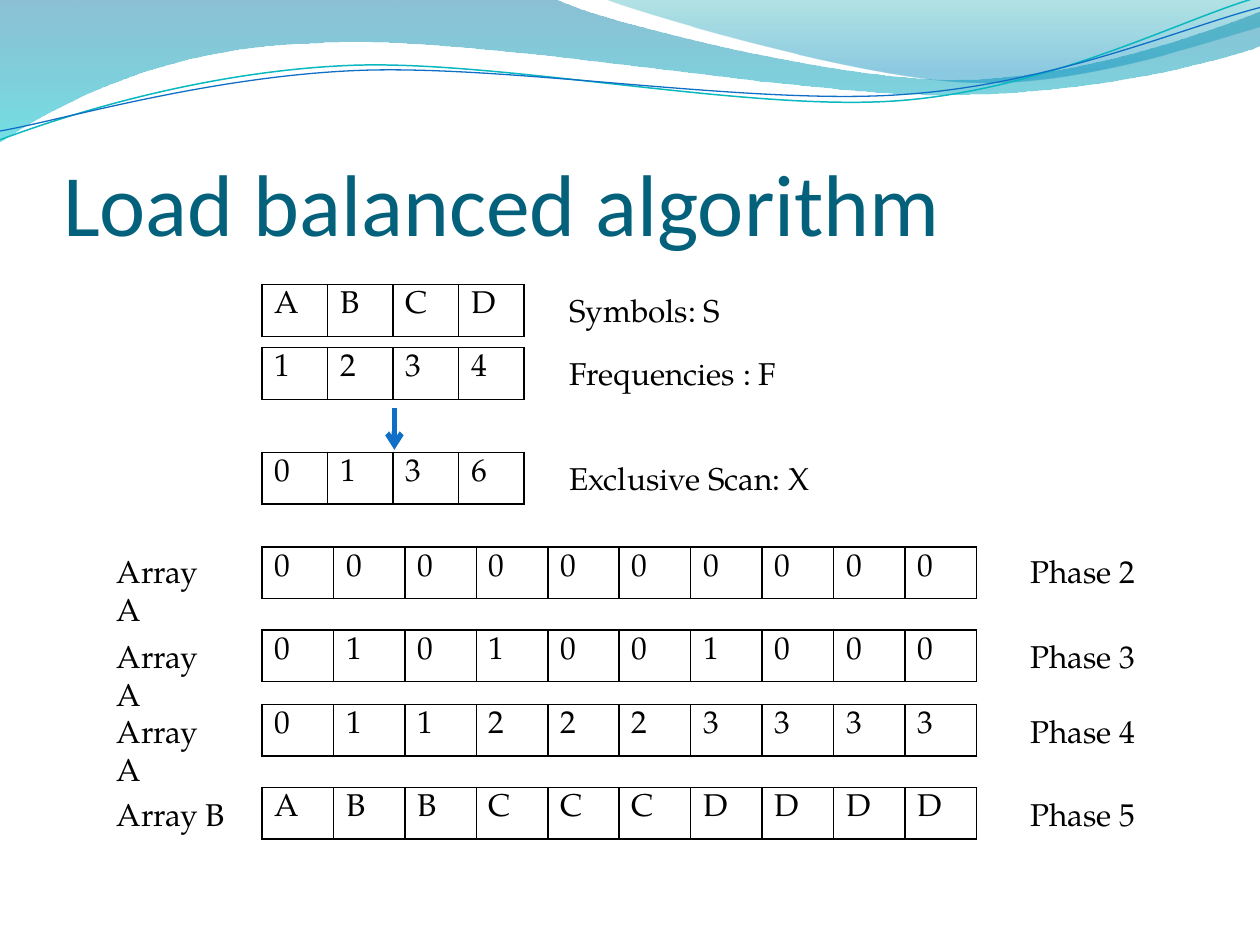
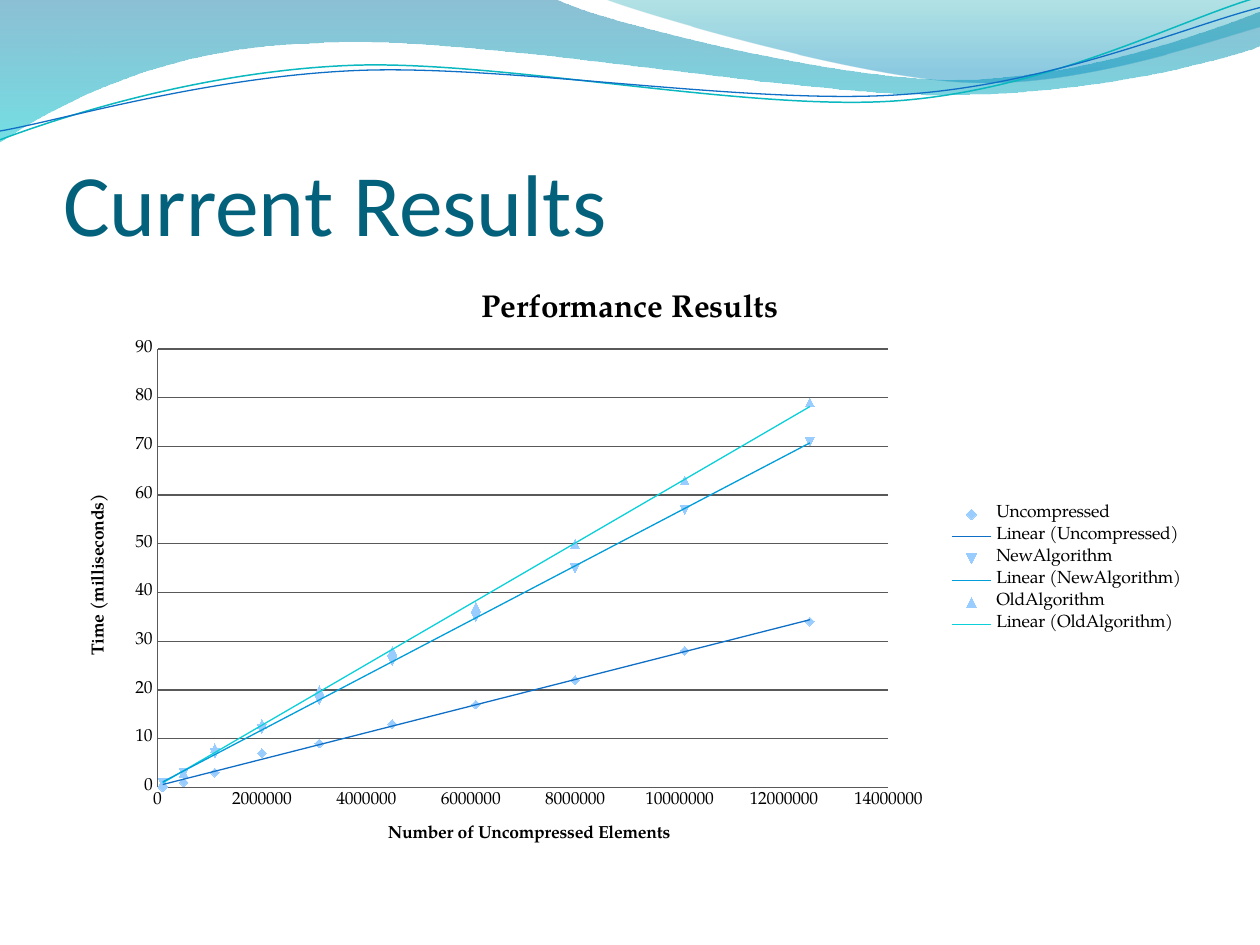
"""Build two slides on a load balanced algorithm and its performance results."""
from lxml import etree
from pptx import Presentation
from pptx.chart.data import XyChartData
from pptx.dml.color import RGBColor
from pptx.enum.chart import XL_CHART_TYPE, XL_LEGEND_POSITION, XL_TICK_MARK
from pptx.enum.shapes import MSO_CONNECTOR
from pptx.enum.text import MSO_ANCHOR, MSO_AUTO_SIZE, PP_ALIGN
from pptx.oxml import parse_xml
from pptx.oxml.ns import nsdecls, qn
from pptx.util import Inches, Pt

SCATTER = XL_CHART_TYPE.XY_SCATTER
LEGEND_RIGHT = XL_LEGEND_POSITION.RIGHT
NO_TICK = XL_TICK_MARK.NONE
STRAIGHT = MSO_CONNECTOR.STRAIGHT
BOTTOM = MSO_ANCHOR.BOTTOM
LEFT = PP_ALIGN.LEFT
GROW = MSO_AUTO_SIZE.SHAPE_TO_FIT_TEXT
TITLE_ONLY = 5

TITLE_FONT, BODY_FONT = "Calibri", "TeX Gyre Pagella"
TITLE_COLOR, BLACK, BLUE = "04617B", "000000", "0F6FC6"
MARKER_COLOR, GRID_COLOR = "99CCFF", "595959"

WIDE_WAVE = [
    (0, 0), (4.4, -0.01),
    (4.76, 0.17, 6.64, 0.63, 7.58, 0.63), (8.53, 0.63, 9.58, 0.26, 10, 0.09),
    (10.01, 0.36),
    (9.83, 0.44, 8.7, 0.76, 7.46, 0.75), (6.22, 0.75, 3.82, 0.28, 2.57, 0.34),
    (1.29, 0.36, 0.46, 0.83, -0.01, 1.13), (0, 0),
]
CORNER_WAVE = [
    (4.79, -0.01),
    (5.09, 0.11, 6.82, 0.62, 7.69, 0.65), (8.56, 0.69, 9.61, 0.32, 10, 0.21),
    (10, 0), (4.79, -0.01),
]
TEAL_LINE = [
    (0, 1.11),
    (0.48, 0.93, 1.58, 0.57, 2.77, 0.52), (3.95, 0.47, 5.93, 0.89, 7.13, 0.8),
    (8.33, 0.71, 9.38, 0.15, 9.98, -0.02),
]
BLUE_LINE = [
    (0, 1.04),
    (0.47, 0.96, 1.64, 0.61, 2.83, 0.56), (4.03, 0.51, 5.97, 0.84, 7.17, 0.75),
    (8.36, 0.67, 9.41, 0.21, 10, 0.06),
]

ARRAY_LEFT, SHORT_WIDTH, LONG_WIDTH = 2.08, 2.08, 5.67
SHORT_ARRAYS = [
    (2.26, "ABCD", "Symbols: S", 1.67),
    (2.76, "1234", "Frequencies : F", 1.92),
    (3.59, "0136", "Exclusive Scan: X", 2.17),
]
PHASES = [
    (4.34, 4.33, "Array A", "0000000000", "Phase 2"),
    (5.0, 5.01, "Array A", "0101001000", "Phase 3"),
    (5.59, 5.6, "Array A", "0112223333", "Phase 4"),
    (6.25, 6.26, "Array B", "ABBCCCDDDD", "Phase 5"),
]

CHART_WIDTH, CHART_HEIGHT = 9, 4.8
ELEMENTS = [100000, 500000, 1100000, 2000000, 3100000,
            4500000, 6100000, 8000000, 10100000, 12500000]
TIMINGS = [
    ("Uncompressed", BLUE, [0, 1, 3, 7, 9, 13, 17, 22, 28, 34]),
    ("NewAlgorithm", "009DD9", [1, 3, 7, 12, 18, 26, 35, 45, 57, 71]),
    ("OldAlgorithm", "0BD0D9", [1, 3, 8, 13, 20, 28, 37, 50, 63, 79]),
]


def rgb(color):
    """Turn a hex string into a colour."""
    return RGBColor.from_string(color)


def set_font(font, size, color=BLACK, name=BODY_FONT, bold=False):
    """Format a font."""
    font.size, font.name, font.bold = Pt(size), name, bold
    font.color.rgb = rgb(color)


def add_outline(slide, outline, close):
    """Draw line ends (2 numbers) and Bezier curves (6 numbers) as a freeform."""
    points = [(Inches(x), Inches(y)) for part in outline
              for x, y in zip(part[::2], part[1::2])]
    builder = slide.shapes.build_freeform(*points[0])
    builder.add_line_segments(points[1:], close=close)
    shape = builder.convert_to_shape()
    shape.shadow.inherit = False
    segments = iter(list(shape.element.iter(qn("a:lnTo"))))
    for part in outline[1:]:
        first, *others = [next(segments) for _ in range(len(part) // 2)]
        if others:
            first.tag = qn("a:cubicBezTo")
        for segment in others:
            first.append(segment[0])
            segment.getparent().remove(segment)
    return shape


def add_wave(slide, outline, stops):
    """Draw a wave with a downward gradient of (position, colour, opacity) stops."""
    wave = add_outline(slide, outline, True)
    wave.line.fill.background()
    wave.fill.gradient()
    wave.fill.gradient_angle = 270
    for stop, (position, color, _) in zip(wave.fill.gradient_stops, stops):
        stop.position = position
        stop.color.rgb = rgb(color)
    for color_element, (_, _, opacity) in zip(wave.element.iter(qn("a:srgbClr")), stops):
        etree.SubElement(color_element, qn("a:alpha"), val=str(opacity * 1000))
    return wave


def add_wave_line(slide, outline, color, width):
    """Draw a thin curved line."""
    curve = add_outline(slide, outline, False)
    curve.fill.background()
    curve.line.color.rgb = rgb(color)
    curve.line.width = Pt(width)
    return curve


def decorate_layout(layout, slide):
    """Draw the waves and hand them to the layout that the slides share."""
    for footer in list(layout.placeholders)[1:]:
        footer.element.getparent().remove(footer.element)
    waves = [
        add_wave(slide, WIDE_WAVE, [(0, "0074A1", 45), (1, "00C6CF", 55)]),
        add_wave(slide, CORNER_WAVE, [(0, "00A1A9", 30), (0.8, "008BBF", 45)]),
        add_wave_line(slide, TEAL_LINE, "0AB8BF", 0.85),
        add_wave_line(slide, BLUE_LINE, BLUE, 0.75),
    ]
    for wave in waves:
        layout.shapes.element.append(wave.element)


def add_titled_slide(prs, text):
    """Add a slide with a formatted title."""
    slide = prs.slides.add_slide(prs.slide_layouts[TITLE_ONLY])
    title = slide.shapes.title
    title.left, title.top = Inches(0.5), Inches(0.77)
    title.width, title.height = Inches(9), Inches(1.25)
    frame = title.text_frame
    frame.text = text
    frame.vertical_anchor = BOTTOM
    frame.margin_left = frame.margin_right = frame.margin_bottom = 0
    frame.margin_top = Inches(0.05)
    frame.paragraphs[0].alignment = LEFT
    set_font(frame.paragraphs[0].font, 50, TITLE_COLOR, TITLE_FONT)
    return slide


def add_label(slide, text, left, top, width):
    """Add a text label."""
    box = slide.shapes.add_textbox(Inches(left), Inches(top), Inches(width), Inches(0.4))
    frame = box.text_frame
    frame.word_wrap = True
    frame.auto_size = GROW
    frame.text = text
    set_font(frame.paragraphs[0].font, 18)


def add_borders(cell):
    """Give a cell thin black borders."""
    for index, side in enumerate(("lnL", "lnR", "lnT", "lnB")):
        border = parse_xml(
            f'<a:{side} {nsdecls("a")} w="{Pt(1)}"><a:solidFill>'
            f'<a:srgbClr val="{BLACK}"/></a:solidFill></a:{side}>')
        cell._tc.get_or_add_tcPr().insert(index, border)


def add_array(slide, values, top, width):
    """Add a one-row table with a cell for each value."""
    table = slide.shapes.add_table(
        1, len(values), Inches(ARRAY_LEFT), Inches(top),
        Inches(width), Inches(0.41)).table
    table.first_row = table.horz_banding = False
    for cell, value in zip(table.iter_cells(), values):
        cell.text = value
        cell.fill.background()
        set_font(cell.text_frame.paragraphs[0].font, 18)
        add_borders(cell)


def add_arrow(slide, x, top, bottom):
    """Add a downward arrow."""
    arrow = slide.shapes.add_connector(
        STRAIGHT, Inches(x), Inches(top), Inches(x), Inches(bottom))
    arrow.line.color.rgb = rgb(BLUE)
    arrow.line.width = Pt(3)
    etree.SubElement(arrow.line._get_or_add_ln(), qn("a:tailEnd"), type="arrow")
    etree.SubElement(arrow.element.spPr, qn("a:effectLst"))


def format_axis(axis, title, maximum, step, grid):
    """Format one axis of the chart."""
    axis.minimum_scale, axis.maximum_scale, axis.major_unit = 0, maximum, step
    axis.major_tick_mark = axis.minor_tick_mark = NO_TICK
    axis.has_major_gridlines = grid
    lines = [axis.format.line]
    if grid:
        lines.append(axis.major_gridlines.format.line)
    for line in lines:
        line.color.rgb = rgb(GRID_COLOR)
        line.width = Pt(0.75)
    axis.tick_labels.font.size = Pt(10)
    axis.axis_title.text_frame.text = title
    set_font(axis.axis_title.text_frame.paragraphs[0].font, 10, bold=True)


def add_trend_line(series, color):
    """Add a linear trend line to a series."""
    trend = parse_xml(
        f'<c:trendline {nsdecls("c", "a")}><c:spPr><a:ln w="{Pt(0.75)}"><a:solidFill>'
        f'<a:srgbClr val="{color}"/></a:solidFill></a:ln></c:spPr>'
        '<c:trendlineType val="linear"/><c:dispRSqr val="0"/><c:dispEq val="0"/>'
        '</c:trendline>')
    series._element.find(qn("c:xVal")).addprevious(trend)


def hide_trend_entries(chart):
    """Mark the legend entries of the trend lines as deleted."""
    position = chart.element.find(".//" + qn("c:legendPos"))
    for index in reversed(range(len(TIMINGS), 2 * len(TIMINGS))):
        position.addnext(parse_xml(
            f'<c:legendEntry {nsdecls("c")}><c:idx val="{index}"/>'
            '<c:delete val="1"/></c:legendEntry>'))


def place_plot(chart, left, top, width, height):
    """Place the inner plot area by inches within the chart."""
    plot_area = chart.element.find(".//" + qn("c:plotArea"))
    for automatic in plot_area.findall(qn("c:layout")):
        plot_area.remove(automatic)
    fractions = {"x": left / CHART_WIDTH, "y": top / CHART_HEIGHT,
                 "w": width / CHART_WIDTH, "h": height / CHART_HEIGHT}
    places = "".join(f'<c:{key} val="{value}"/>' for key, value in fractions.items())
    plot_area.insert(0, parse_xml(
        f'<c:layout {nsdecls("c")}><c:manualLayout><c:layoutTarget val="inner"/>'
        f'<c:xMode val="edge"/><c:yMode val="edge"/>{places}</c:manualLayout></c:layout>'))


def add_timing_chart(slide):
    """Add the scatter chart of the timings."""
    data = XyChartData()
    for name, _, times in TIMINGS:
        timing = data.add_series(name)
        for count, time in zip(ELEMENTS, times):
            timing.add_data_point(count, time)
    chart = slide.shapes.add_chart(
        SCATTER, Inches(0.5), Inches(2.12), Inches(CHART_WIDTH), Inches(CHART_HEIGHT),
        data).chart
    set_font(chart.font, 10)
    chart.has_title = True
    chart.chart_title.text_frame.text = "Performance Results"
    set_font(chart.chart_title.text_frame.paragraphs[0].font, 18, bold=True)
    chart.has_legend = True
    chart.legend.position = LEGEND_RIGHT
    chart.legend.include_in_layout = False
    hide_trend_entries(chart)
    format_axis(chart.category_axis, "Number of Uncompressed Elements",
                14000000, 2000000, False)
    format_axis(chart.value_axis, "Time (milliseconds)", 90, 10, True)
    chart.plots[0].vary_by_categories = False
    for series, (_, color, _) in zip(chart.plots[0].series, TIMINGS):
        series.format.line.fill.background()
        series.marker.size = 5
        series.marker.format.fill.solid()
        series.marker.format.fill.fore_color.rgb = rgb(MARKER_COLOR)
        series.marker.format.line.fill.background()
        add_trend_line(series, color)
    place_plot(chart, 0.75, 0.65, 5.8, 3.48)


def main():
    """Build and save the presentation."""
    prs = Presentation()
    prs.slide_width, prs.slide_height = Inches(10), Inches(7.5)

    algorithm = add_titled_slide(prs, "Load balanced algorithm")
    decorate_layout(prs.slide_layouts[TITLE_ONLY], algorithm)
    for top, values, label, width in SHORT_ARRAYS:
        add_array(algorithm, values, top, SHORT_WIDTH)
        add_label(algorithm, label, 4.42, top, width)
    add_arrow(algorithm, 3.13, 3.24, 3.57)
    for top, label_top, array, values, phase in PHASES:
        add_label(algorithm, array, 0.83, label_top, 1.08)
        add_array(algorithm, values, top, LONG_WIDTH)
        add_label(algorithm, phase, 8.08, label_top, 2.17)

    results = add_titled_slide(prs, "Current Results")
    add_timing_chart(results)
    prs.save("out.pptx")


if __name__ == "__main__":
    main()
